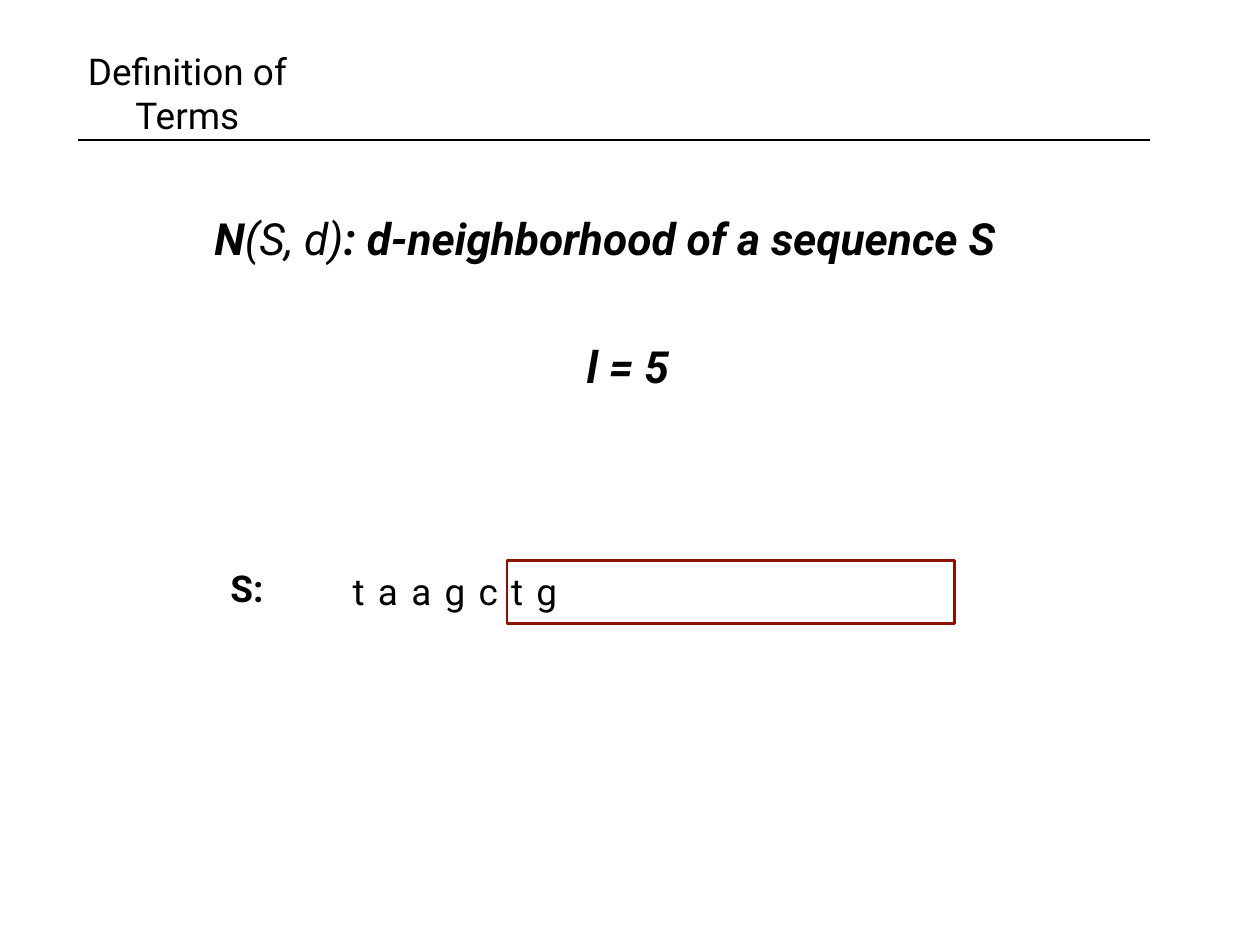
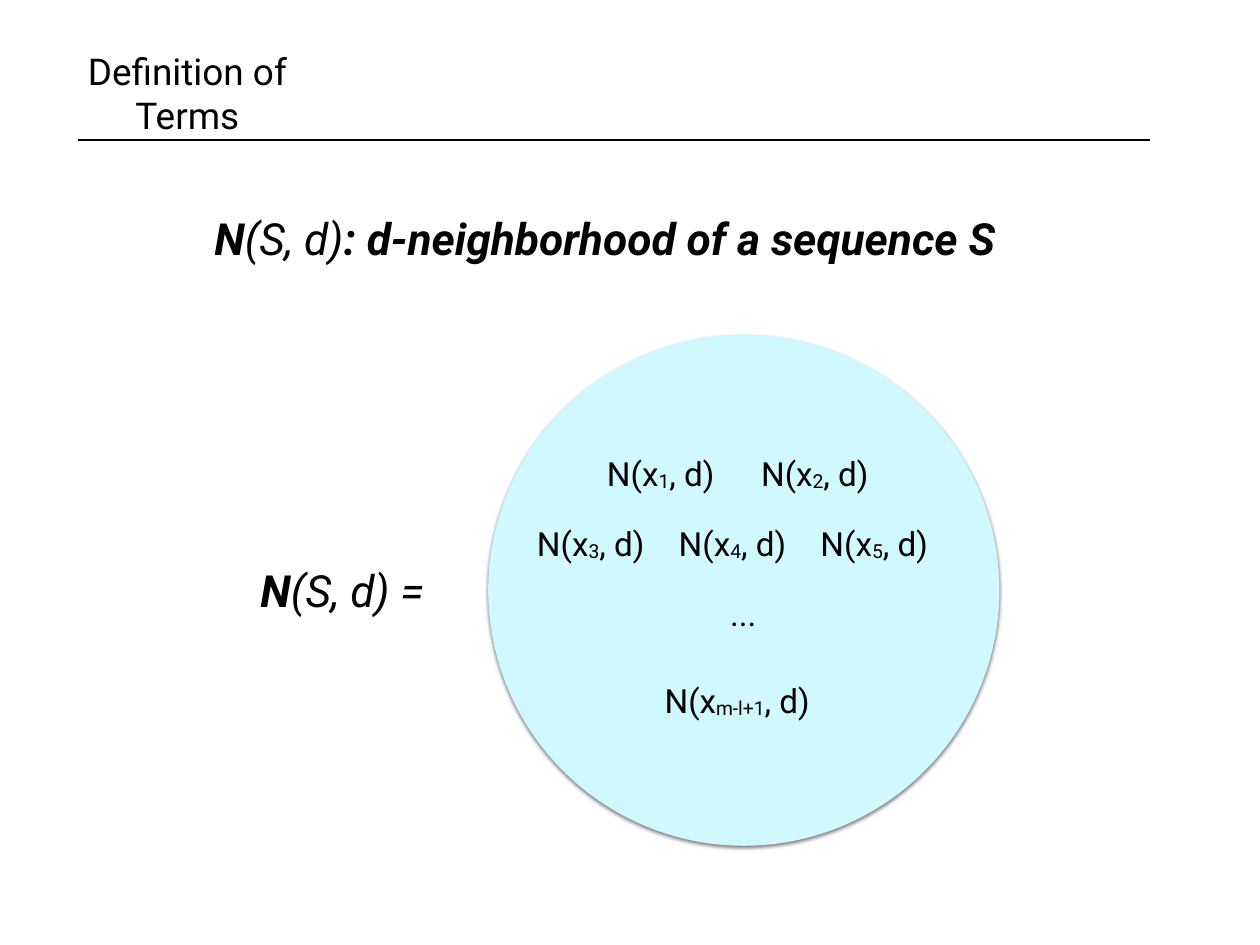
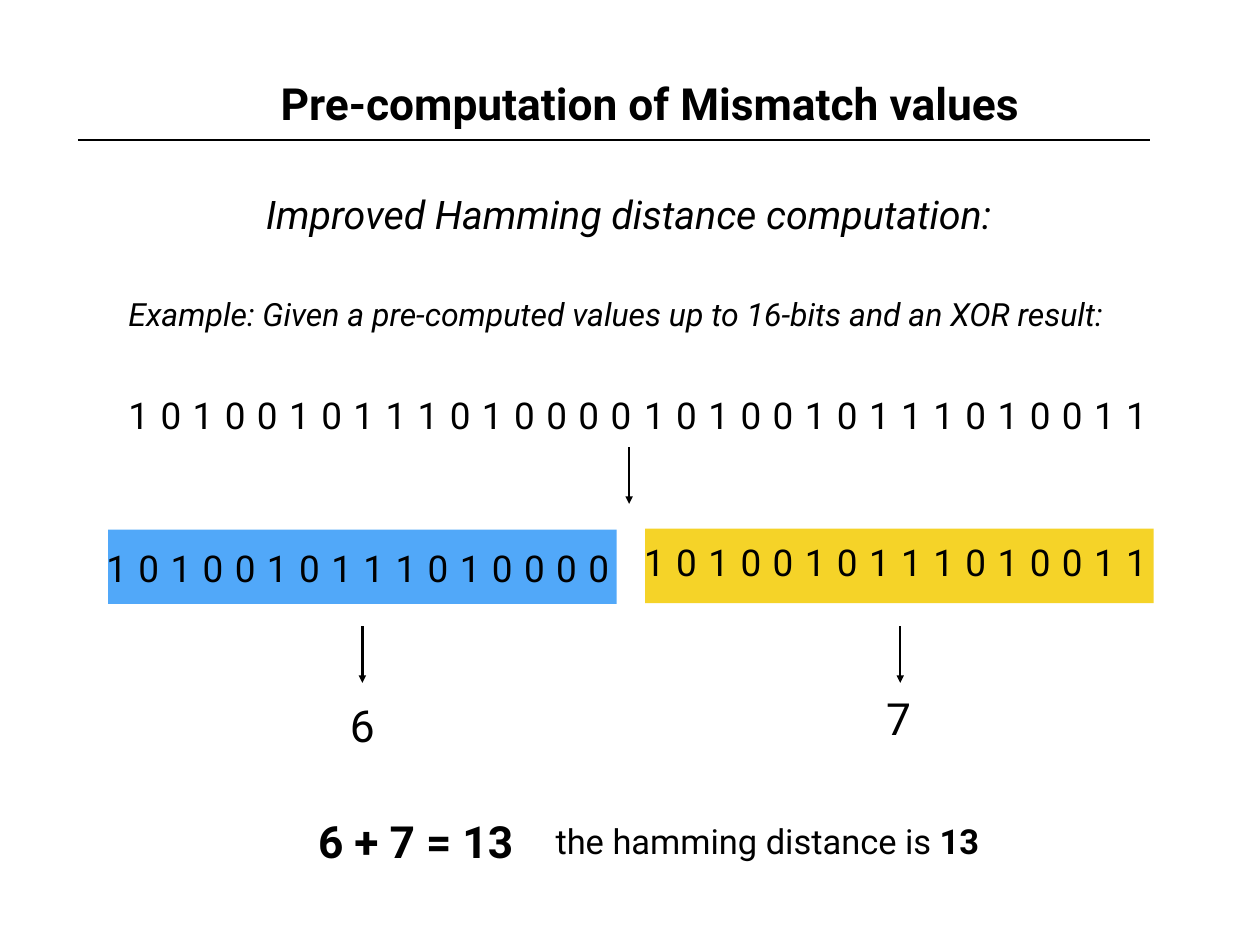
import lxml.etree
import pptx
import pptx.dml.color
import pptx.enum.shapes
import pptx.enum.text
import pptx.oxml.ns
import pptx.util

COLORS = {
    "ink": "000000",
    "frame": "8F1000",
    "set": "D0F8FF",
    "left": "51A8F9",
    "right": "F5D328",
}
ALIGN = pptx.enum.text.PP_ALIGN
SHAPE = pptx.enum.shapes.MSO_SHAPE


def color(name):
    return pptx.dml.color.RGBColor.from_string(COLORS[name])


def child(node, tag, **attrs):
    return lxml.etree.SubElement(node, pptx.oxml.ns.qn(tag), attrs)


class Deck:
    font = "Roboto"
    inset = 0.06
    weight = 2

    def __init__(self):
        self.show = pptx.Presentation()
        self.show.slide_width = pptx.util.Inches(14.22)
        self.show.slide_height = pptx.util.Inches(10.67)
        self.slide = None

    def page(self):
        self.slide = self.show.slides.add_slide(self.show.slide_layouts[6])
        self.line(0.88, 1.58, 12.98, 1.58)

    def text(self, x, y, w, h, parts, size, align=ALIGN.LEFT, gap=0, lead=None):
        box = self.slide.shapes.add_textbox(*map(pptx.util.Inches, (x, y, w, h)))
        frame = box.text_frame
        frame.word_wrap = True
        frame.vertical_anchor = pptx.enum.text.MSO_ANCHOR.MIDDLE
        for side in ("left", "top", "right", "bottom"):
            setattr(frame, "margin_" + side, pptx.util.Inches(self.inset))
        para = frame.paragraphs[0]
        para.alignment = align
        if lead:
            para.line_spacing = lead
        for words, style in parts:
            run = para.add_run()
            run.text = words
            run.font.name = self.font
            run.font.size = pptx.util.Pt(size)
            run.font.color.rgb = color("ink")
            run.font.bold = "b" in style
            run.font.italic = "i" in style
            props = run._r.get_or_add_rPr()
            if "s" in style:
                props.set("baseline", "-6000")
            if gap:
                props.set("spc", str(round(gap * 100)))

    def line(self, x1, y1, x2, y2, arrow=False):
        ends = map(pptx.util.Inches, (x1, y1, x2, y2))
        kind = pptx.enum.shapes.MSO_CONNECTOR.STRAIGHT
        line = self.slide.shapes.add_connector(kind, *ends)
        line.line.width = pptx.util.Pt(self.weight)
        line.line.color.rgb = color("ink")
        if arrow:
            child(line.line._get_or_add_ln(), "a:tailEnd", type="triangle")
        child(line._element.spPr, "a:effectLst")

    def arrow(self, x, y):
        self.line(x, y, x, y + 0.64, arrow=True)

    def shape(self, kind, x, y, w, h, fill=None, edge=None):
        shape = self.slide.shapes.add_shape(kind, *map(pptx.util.Inches, (x, y, w, h)))
        shape.shadow.inherit = False
        if fill:
            shape.fill.solid()
            shape.fill.fore_color.rgb = color(fill)
        else:
            shape.fill.background()
        if edge:
            shape.line.color.rgb = color(edge)
            shape.line.width = pptx.util.Pt(self.weight)
        else:
            shape.line.fill.background()
        return shape

    def shade(self, shape):
        effect = shape._element.spPr.find(pptx.oxml.ns.qn("a:effectLst"))
        shadow = child(effect, "a:outerShdw", blurRad=str(pptx.util.Pt(3)),
                       dist=str(pptx.util.Pt(2)), dir="5400000", rotWithShape="0")
        black = child(shadow, "a:srgbClr", val=COLORS["ink"])
        child(black, "a:alpha", val="50000")

    def terms(self):
        self.page()
        self.text(0.83, 0.54, 2.57, 1.01, [("Definition of Terms", "")], 30, ALIGN.CENTER)
        self.text(2.36, 2.33, 9.79, 0.71, [
            ("N", "bi"), ("(S, d)", "i"), (": d-neighborhood of a sequence S", "bi"),
        ], 36)

    def hood(self, x, y, sub, w=1.41):
        self.text(x, y, w, 0.56, [("N(x", ""), (sub, "s"), (", d)", "")], 27)

    def bits(self, x, y, word):
        self.text(x, y, 6.2, 0.61, [(word, "")], 30, gap=9.3)


def window(deck):
    deck.terms()
    deck.text(3.92, 6.31, 6.65, 0.71, [("taagctg", "")], 30, gap=10.8)
    deck.text(2.54, 6.33, 0.53, 0.62, [("S:", "b")], 30)
    deck.shape(SHAPE.RECTANGLE, 5.72, 6.33, 5.05, 0.71, edge="frame")
    deck.text(6.56, 3.78, 1.11, 0.71, [("l = 5", "bi")], 36)


def union(deck):
    deck.terms()
    deck.text(2.88, 6.31, 2.32, 0.71, [("N", "bi"), ("(S, d) =", "i")], 36)
    deck.shade(deck.shape(SHAPE.OVAL, 5.51, 3.78, 5.77, 5.77, fill="set"))
    for x, y, step, subs in ((6.79, 5.06, 1.74, "12"), (6, 5.85, 1.6, "345")):
        for col, sub in enumerate(subs):
            deck.hood(x + col * step, y, sub)
    deck.text(8.18, 6.64, 0.44, 0.56, [("...", "")], 27)
    deck.hood(7.44, 7.63, "m-l+1", 1.92)


def count(deck):
    deck.page()
    deck.text(0.68, 0.71, 13.31, 0.9, [("Pre-computation of Mismatch values", "b")],
              36, ALIGN.CENTER)
    deck.text(1.19, 2.04, 11.82, 0.64, [("Improved Hamming distance computation:", "i")],
              32, ALIGN.CENTER, lead=1.2)
    deck.text(1.39, 3.27, 11.89, 0.54, [
        ("Example: Given a pre-computed values up to 16-bits and an XOR result:", "i"),
    ], 26)
    deck.arrow(7.1, 5.05)
    halves = (
        ("1010010111010000", "left", 1.39, 1.22, 5.98, 1.14, 6.1, 4.09, "6", 3.89, 7.83),
        ("1010010111010011", "right", 7.21, 7.28, 5.97, 7.21, 6.04, 10.16, "7", 9.94, 7.75),
    )
    for word, fill, top, bx, by, wx, wy, ax, sum, sx, sy in halves:
        deck.shape(SHAPE.RECTANGLE, bx, by, 5.74, 0.84, fill=fill)
        deck.bits(top, 4.38, word)
        deck.bits(wx, wy, word)
        deck.arrow(ax, 7.07)
        deck.text(sx, sy, 0.4, 0.71, [(sum, "")], 36)
    deck.text(3.53, 9.14, 2.38, 0.71, [("6 + 7 = 13", "b")], 36)
    deck.text(6.21, 9.2, 4.92, 0.58, [("the hamming distance is ", ""), ("13", "b")], 28)


def main():
    deck = Deck()
    for build in (window, union, count):
        build(deck)
    deck.show.save("out.pptx")


if __name__ == "__main__":
    main()
